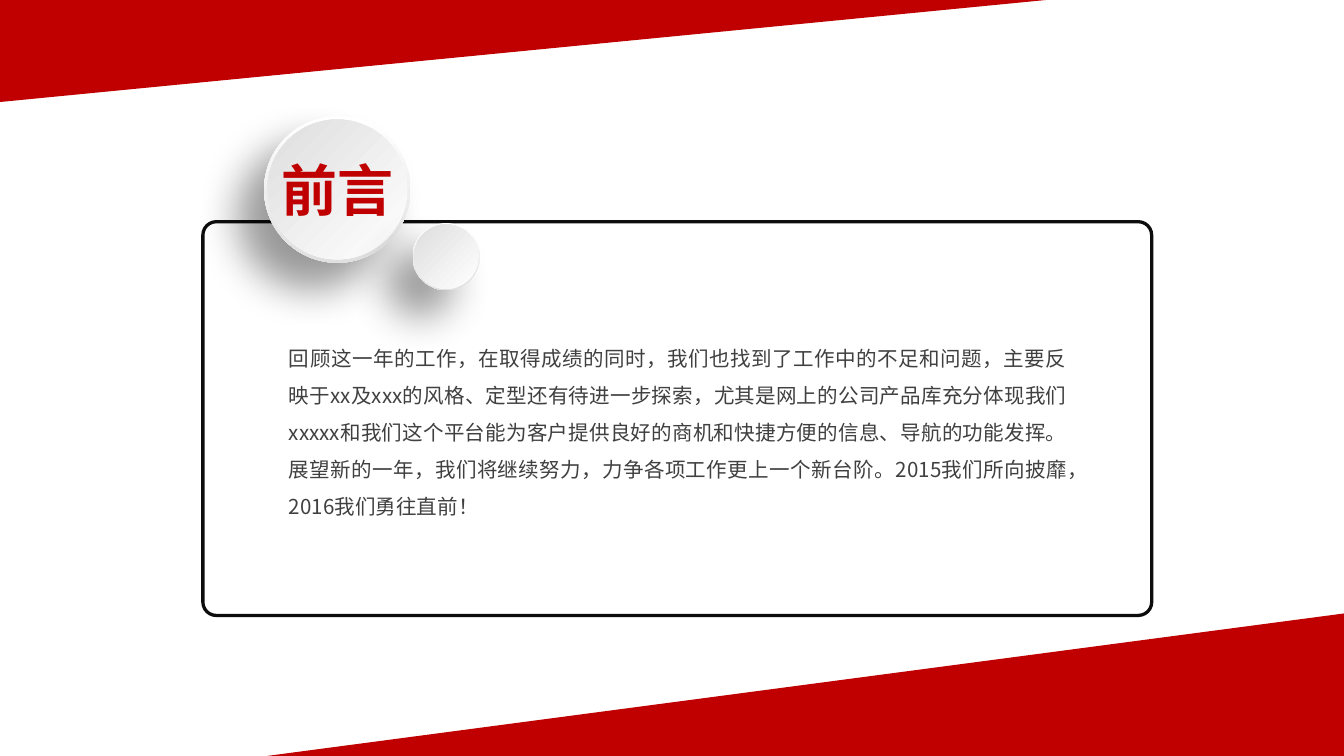
from lxml import etree
from pptx import Presentation
from pptx.dml.color import RGBColor
from pptx.enum.shapes import MSO_SHAPE as Shape
from pptx.enum.text import MSO_AUTO_SIZE as AutoSize, PP_ALIGN as Align
from pptx.oxml import parse_xml
from pptx.oxml.ns import nsdecls, qn
from pptx.util import Inches, Pt

FONT = "Noto Sans CJK SC"
RED = "C00000"
WIDTH = 10
HEIGHT = WIDTH * 9 / 16

TITLE = "前言"
FOREWORD = (
    "回顾这一年的工作，在取得成绩的同时，我们也找到了工作中的不足和问题，"
    "主要反映于xx及xxx的风格、定型还有待进一步探索，尤其是网上的公司产品库"
    "充分体现我们xxxxx和我们这个平台能为客户提供良好的商机和快捷方便的信息、"
    "导航的功能发挥。展望新的一年，我们将继续努力，力争各项工作更上一个新台阶。"
    "2015我们所向披靡，2016我们勇往直前！"
)
TITLE_BUTTON = {"center": (2.51, 1.41), "rim": 1.09, "face": 1.04}
SMALL_BUTTON = {"center": (3.32, 1.91), "rim": 0.5, "face": 0.48}
RIM_GRADIENT = ("FFFFFF", "E0E0E0", 270)
FACE_GRADIENT = ("FFFFFF", "DDDEDD", 45)
WEDGES = [
    ((0, 0, 7.79, 0.76), "flipV"),
    ((WIDTH - 8.01, HEIGHT - 1.06, 8.01, 1.06), "flipH"),
]


def rgb(value):
    return RGBColor.from_string(value)


def add_plain(shapes, kind, box, flip=None):
    shape = shapes.add_shape(kind, *map(Inches, box))
    shape.shadow.inherit = False
    shape.line.fill.background()
    if flip:
        shape._element.spPr.find(qn("a:xfrm")).set(flip, "1")
    return shape


def add_disc(shapes, center, size, gradient):
    x, y = center
    disc = add_plain(shapes, Shape.OVAL, (x - size / 2, y - size / 2, size, size), "flipH")
    start, end, angle = gradient
    disc.fill.gradient()
    disc.fill.gradient_angle = angle
    for stop, color in zip(disc.fill.gradient_stops, (start, end)):
        stop.color.rgb = rgb(color)
    return disc


def cast_shadow(disc):
    effects = disc._element.spPr.find(qn("a:effectLst"))
    effects.append(parse_xml(
        f'<a:outerShdw {nsdecls("a")} blurRad="{Pt(22)}" dist="{Pt(20)}" '
        f'dir="{135 * 60000}" algn="tr" rotWithShape="0">'
        '<a:srgbClr val="000000"><a:alpha val="40000"/></a:srgbClr></a:outerShdw>'
    ))


def add_button(slide, center, rim, face):
    button = slide.shapes.add_group_shape()
    cast_shadow(add_disc(button.shapes, center, rim, RIM_GRADIENT))
    add_disc(button.shapes, center, face, FACE_GRADIENT)
    return button


def add_text(shapes, box, text, size, color, align, margins, bold=False, spacing=None):
    textbox = shapes.add_textbox(*map(Inches, box))
    frame = textbox.text_frame
    frame.word_wrap = True
    frame.auto_size = AutoSize.SHAPE_TO_FIT_TEXT
    frame.margin_left = frame.margin_right = Inches(margins[0])
    frame.margin_top = frame.margin_bottom = Inches(margins[1])
    paragraph = frame.paragraphs[0]
    paragraph.alignment = align
    paragraph.line_spacing = spacing
    run = paragraph.add_run()
    run.text = text
    run.font.size = Pt(size)
    run.font.bold = bold
    run.font.color.rgb = rgb(color)
    run.font.name = FONT
    etree.SubElement(run.font._element, qn("a:ea")).set("typeface", FONT)


def main():
    deck = Presentation()
    deck.slide_width, deck.slide_height = Inches(WIDTH), Inches(HEIGHT)
    slide = deck.slides.add_slide(deck.slide_layouts[6])

    frame = add_plain(slide.shapes, Shape.ROUNDED_RECTANGLE, (1.51, 1.65, 7.06, 2.93))
    frame.adjustments[0] = 0.034
    frame.fill.background()
    frame.line.color.rgb = rgb("0D0D0D")
    frame.line.width = Pt(1.75)

    add_text(slide.shapes, (2.07, 2.44, 5.95, 1.46), FOREWORD, 11, "404040",
             Align.JUSTIFY, (0.08, 0.04), spacing=1.5)

    title_button = add_button(slide, **TITLE_BUTTON)
    add_text(title_button.shapes, (1.75, 1.16, 1.53, 0.51), TITLE, 30, RED,
             Align.CENTER, (0, 0), bold=True)
    add_button(slide, **SMALL_BUTTON)

    for box, flip in WEDGES:
        wedge = add_plain(slide.shapes, Shape.ISOSCELES_TRIANGLE, box, flip)
        wedge.adjustments[0] = 0
        wedge.fill.solid()
        wedge.fill.fore_color.rgb = rgb(RED)

    deck.save("out.pptx")


if __name__ == "__main__":
    main()
